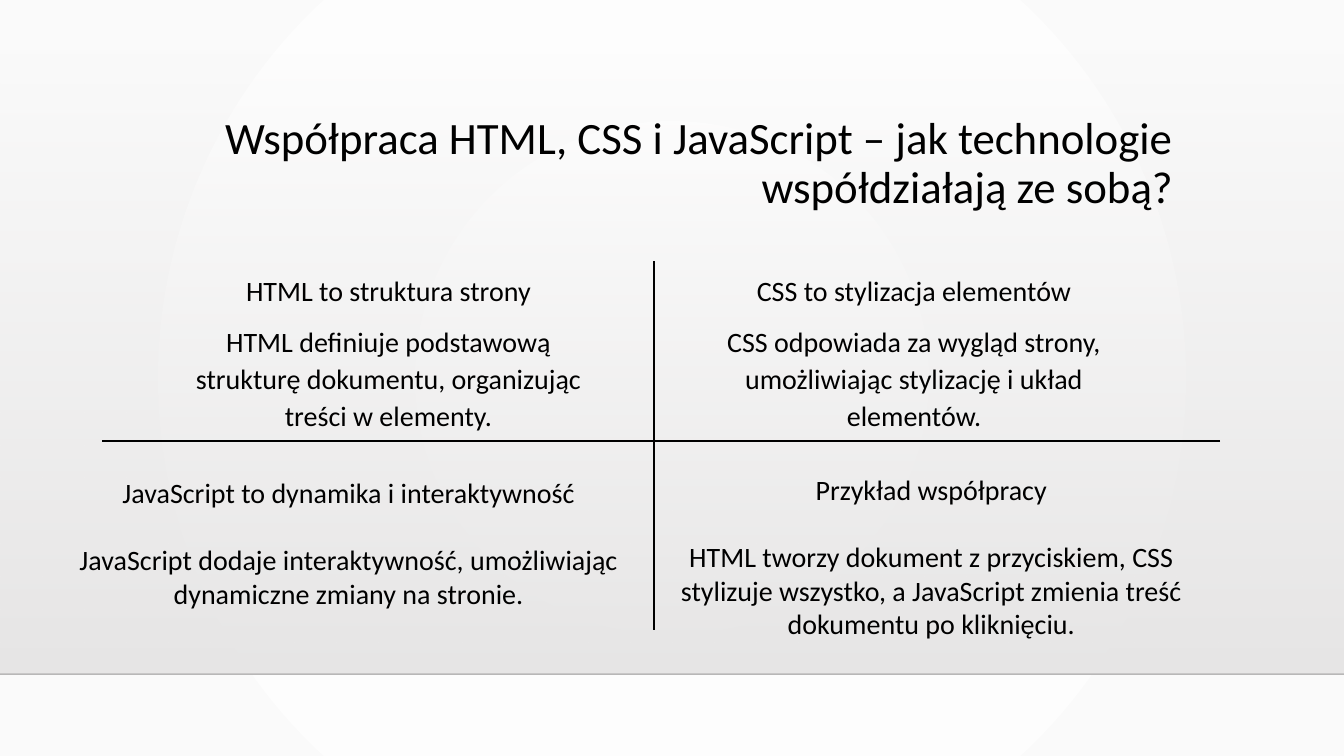
import pptx
import pptx.util
import pptx.dml.color
import pptx.enum.shapes
import pptx.enum.text
import pptx.oxml
import pptx.oxml.ns

ALIGN = pptx.enum.text.PP_ALIGN
ANCHOR = pptx.enum.text.MSO_ANCHOR
FIT = pptx.enum.text.MSO_AUTO_SIZE
COLORS = {"ink": "000000", "edge": "000001", "white": "FFFFFF",
          "mist": "FAFAFA", "haze": "E7E6E6", "floor": "E8E7E7"}


class Deck:
    """Holds the style and the current slide, and adds each kind of element."""

    def __init__(self):
        self.font = "Calibri"
        self.show = pptx.Presentation()
        self.show.slide_width = self.px(1280)
        self.show.slide_height = self.px(720)
        self.slide = self.show.slides.add_slide(self.show.slide_layouts[5])
        self.shapes = self.slide.shapes

    def px(self, count):
        return pptx.util.Emu(count * 9525)

    def box(self, values):
        return [self.px(value) for value in values]

    def color(self, name):
        return pptx.dml.color.RGBColor.from_string(COLORS[name])

    def node(self, parent, tag, **values):
        item = parent.makeelement(pptx.oxml.ns.qn(tag), values)
        parent.append(item)
        return item

    def fade(self, shape, part, share):
        tint = shape._element.xpath(part + "//a:srgbClr")[0]
        self.node(tint, "a:alpha", val=str(share * 1000))

    def blend(self, fill, names):
        fill.gradient()
        for stop, name in zip(fill.gradient_stops, names):
            stop.color.rgb = self.color(name)

    def back(self, *names):
        self.blend(self.slide.background.fill, names)
        grad = self.slide._element.xpath(".//p:bgPr/a:gradFill")[0]
        for item in grad.xpath("./a:lin"):
            grad.remove(item)
        ring = self.node(grad, "a:path", path="circle")
        self.node(ring, "a:fillToRect", l="50000", t="50000", r="50000", b="50000")

    def band(self, place, *names):
        kind = pptx.enum.shapes.MSO_SHAPE.RECTANGLE
        shape = self.shapes.add_shape(kind, *self.box(place))
        shape.shadow.inherit = False
        shape.line.fill.background()
        self.blend(shape.fill, names)
        shape.fill.gradient_angle = 270
        self.fade(shape, ".//a:gradFill", 0)

    def line(self, ends, width, name="ink", share=100):
        kind = pptx.enum.shapes.MSO_CONNECTOR.STRAIGHT
        rule = self.shapes.add_connector(kind, *self.box(ends))
        rule.line.width = pptx.util.Pt(width)
        rule.line.color.rgb = self.color(name)
        if share < 100:
            self.fade(rule, ".//a:ln", share)
        self.node(rule._element.spPr, "a:effectLst")

    def words(self, frame, lines, size, form, fit=FIT.NONE, anchor=ANCHOR.TOP):
        frame.word_wrap = True
        frame.auto_size = fit
        frame.vertical_anchor = anchor
        for index, line in enumerate(lines):
            para = frame.paragraphs[0] if index == 0 else frame.add_paragraph()
            for key, value in form.items():
                setattr(para, key, value)
            run = para.add_run()
            run.text = line
            run.font.name = self.font
            run.font.size = pptx.util.Pt(size)
            run.font.color.rgb = self.color("ink")

    def title(self, place, line):
        shape = self.shapes.title
        self.shapes._spTree.append(shape._element)
        for key, value in zip(("left", "top", "width", "height"), self.box(place)):
            setattr(shape, key, value)
        form = {"alignment": ALIGN.RIGHT, "line_spacing": 0.9}
        self.words(shape.text_frame, [line], 32, form, anchor=ANCHOR.MIDDLE)

    def text(self, place, lines, form, fit):
        frame = self.shapes.add_textbox(*self.box(place)).text_frame
        self.words(frame, lines, 20, form, fit)


def main():
    deck = Deck()
    deck.back("white", "mist")
    deck.band((0, 49, 1280, 593), "haze", "floor")
    deck.line((0, 642, 1280, 642), 1, "edge", 20)
    deck.title((119, 101, 1008, 111),
               "Współpraca HTML, CSS i JavaScript – jak technologie współdziałają ze sobą?")
    upper = {"alignment": ALIGN.CENTER, "line_spacing": 1.1,
             "space_before": pptx.util.Pt(10)}
    lower = {"alignment": ALIGN.CENTER, "space_after": pptx.util.Pt(24)}
    cells = [
        ((167, 253, 406, 174), upper, FIT.NONE, "HTML to struktura strony",
         "HTML definiuje podstawową strukturę dokumentu, organizując treści w elementy."),
        ((675, 253, 391, 193), upper, FIT.NONE, "CSS to stylizacja elementów",
         "CSS odpowiada za wygląd strony, umożliwiając stylizację i układ elementów."),
        ((65, 448, 534, 139), lower, FIT.SHAPE_TO_FIT_TEXT,
         "JavaScript to dynamika i interaktywność",
         "JavaScript dodaje interaktywność, umożliwiając dynamiczne zmiany na stronie."),
        ((610, 445, 554, 171), lower, FIT.SHAPE_TO_FIT_TEXT, "Przykład współpracy",
         "HTML tworzy dokument z przyciskiem, CSS stylizuje wszystko, "
         "a JavaScript zmienia treść dokumentu po kliknięciu."),
    ]
    for place, form, fit, *lines in cells:
        deck.text(place, lines, form, fit)
    deck.line((623, 249, 623, 600), 1.75)
    deck.line((1162, 420, 97, 420), 1.75)
    deck.show.save("out.pptx")


if __name__ == "__main__":
    main()
